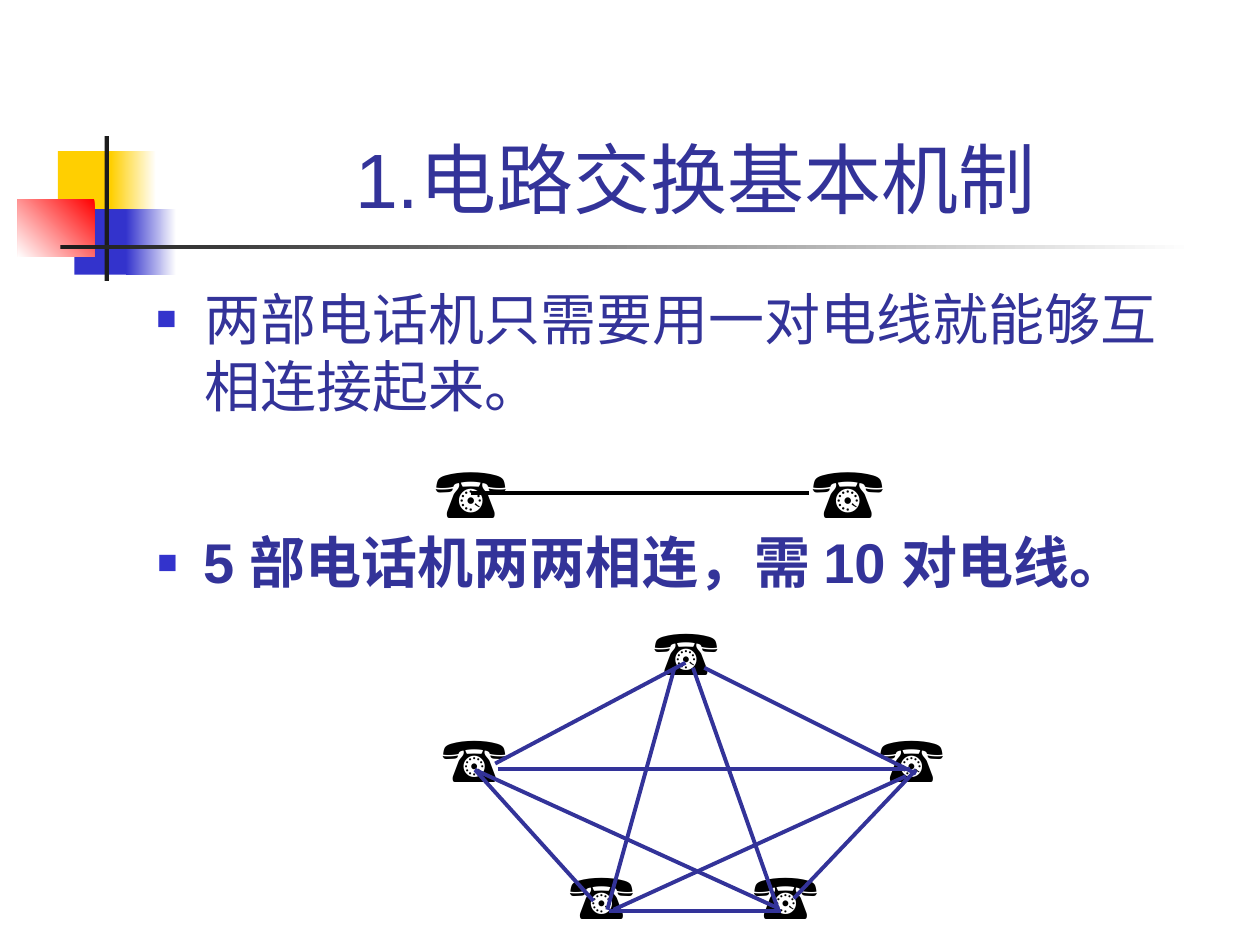
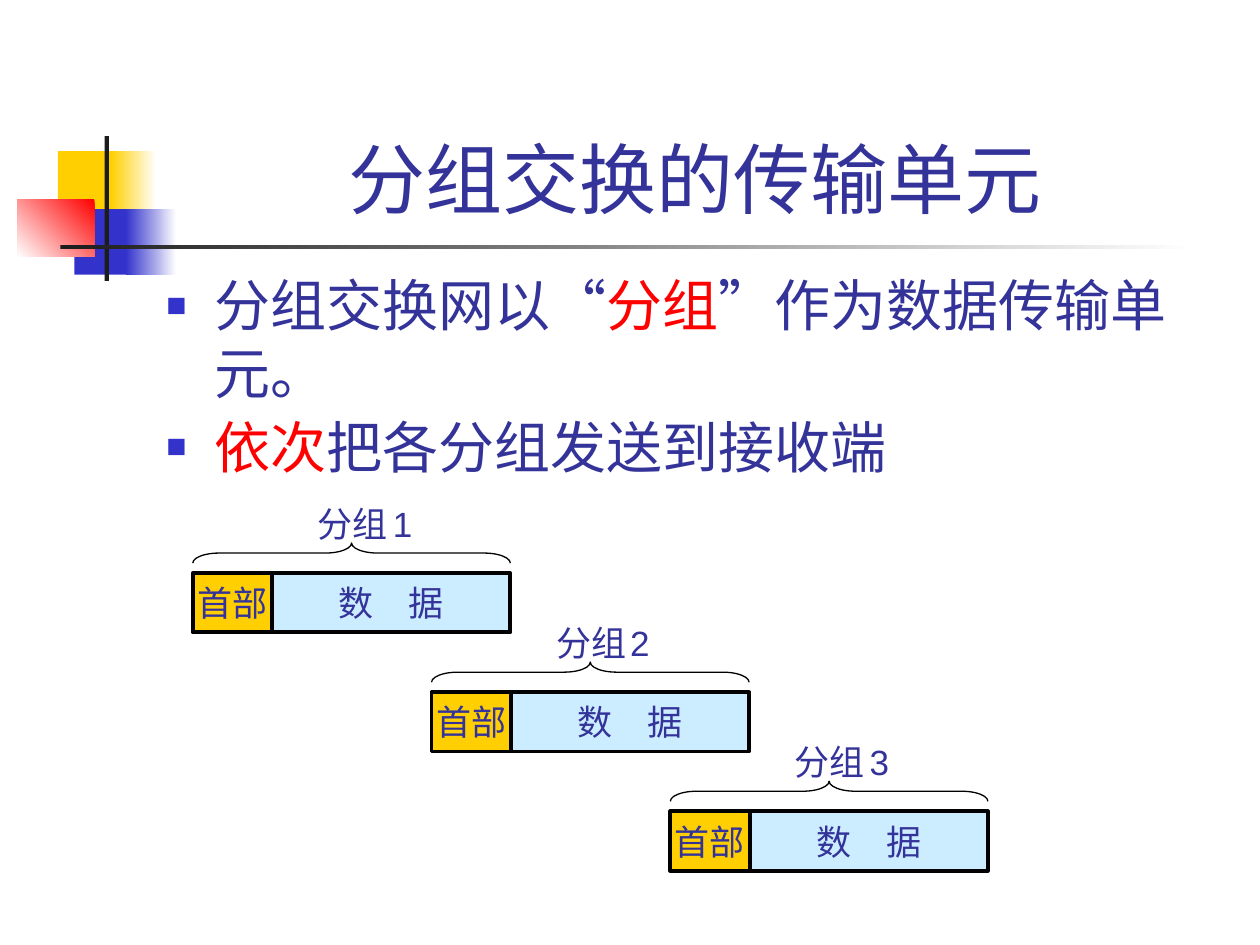
from dataclasses import dataclass

from lxml import etree
from pptx import Presentation, util as u
from pptx.dml.color import RGBColor
from pptx.enum import shapes, text
from pptx.oxml import ns

COLORS = {
    "ink": "333399",
    "accent": "FF0000",
    "blue": "3333CC",
    "yellow": "FFCF01",
    "pale": "CCECFF",
    "rule": "1C1C1C",
    "black": "000000",
    "white": "FFFFFF",
}
COLUMNS, ROWS = 100, 75
SLIDE_WIDTH, SLIDE_HEIGHT = u.Inches(10), u.Inches(7.5)
COLUMN, ROW = SLIDE_WIDTH / COLUMNS, SLIDE_HEIGHT / ROWS


@dataclass
class Box:
    left: float
    top: float
    width: float
    height: float

    def inner(self, left, top, width, height):
        return Box(self.left + left, self.top + top, width, height)

    def point(self, x, y):
        return round((self.left + x) * COLUMN), round((self.top + y) * ROW)

    def frame(self):
        return (*self.point(0, 0), round(self.width * COLUMN), round(self.height * ROW))


def rgb(color):
    return RGBColor.from_string(COLORS[color])


def add_span(para, words, size, color="ink", font="Arial", bold=False):
    span = para.add_run()
    span.text = words
    span.font.size = u.Pt(size)
    span.font.name = font
    span.font.bold = bold
    span.font.color.rgb = rgb(color)


def add_bullet(para, hanging, space_before):
    para.space_before = u.Pt(space_before)
    props = para._p.get_or_add_pPr()
    props.set("marL", str(u.Inches(hanging)))
    props.set("indent", str(-u.Inches(hanging)))
    bullet_color = etree.SubElement(props, ns.qn("a:buClr"))
    etree.SubElement(bullet_color, ns.qn("a:srgbClr"), val=COLORS["blue"])
    etree.SubElement(props, ns.qn("a:buSzPct"), val="60000")
    etree.SubElement(props, ns.qn("a:buFont"), typeface="Arial")
    etree.SubElement(props, ns.qn("a:buChar"), char="■")


def add_block(page, box, fill, fade_to=None, angle=0, outline=None):
    block = page.shapes.add_shape(shapes.MSO_SHAPE.RECTANGLE, *box.frame())
    block.shadow.inherit = False
    if fade_to:
        block.fill.gradient()
        block.fill.gradient_angle = angle
        for stop, color in zip(block.fill.gradient_stops, (fill, fade_to)):
            stop.color.rgb = rgb(color)
    else:
        block.fill.solid()
        block.fill.fore_color.rgb = rgb(fill)
    if outline:
        block.line.color.rgb = rgb(outline)
        block.line.width = u.Pt(2.25)
    else:
        block.line.fill.background()
    return block


def add_text_box(page, box):
    label = page.shapes.add_textbox(*box.frame())
    label.text_frame.word_wrap = True
    return label.text_frame.paragraphs[0]


def add_wire(page, box, start, end, color):
    wire = page.shapes.add_connector(
        shapes.MSO_CONNECTOR.STRAIGHT, *box.point(*start), *box.point(*end)
    )
    wire.line.color.rgb = rgb(color)
    wire.line.width = u.Pt(2.25)
    etree.SubElement(wire.element.spPr, ns.qn("a:effectLst"))


def move_emblem_to_master(page, master, box):
    blocks = [
        add_block(page, box.inner(3.2, 1.2, 4.8, 5.2), "yellow"),
        add_block(page, box.inner(7.4, 1.2, 3.6, 5.2), "yellow", "white"),
        add_block(page, box.inner(4.5, 5.8, 4.6, 5.2), "blue"),
        add_block(page, box.inner(8.6, 5.8, 4, 5.2), "blue", "white"),
        add_block(page, box.inner(0, 5, 6.1, 4.6), "accent", "white", 225),
        add_block(page, box.inner(6.9, 0, 0.35, 11.5), "rule"),
        add_block(page, box.inner(3.4, 8.65, 90, 0.35), "rule", "white"),
    ]
    for number, block in enumerate(blocks, 101):
        block.element.nvSpPr.cNvPr.id = number
        master.shapes.element.append(block.element)


def place(holder, box, anchor):
    holder.left, holder.top, holder.width, holder.height = box.frame()
    frame = holder.text_frame
    frame.auto_size = text.MSO_AUTO_SIZE.NONE
    frame.vertical_anchor = anchor
    return frame


def fill_title(page, box, words):
    para = place(page.shapes.title, box, text.MSO_ANCHOR.BOTTOM).paragraphs[0]
    para.alignment = text.PP_ALIGN.CENTER
    add_span(para, words, 44)


def fill_body(page, box, items, space_before):
    frame = place(page.placeholders[1], box, text.MSO_ANCHOR.TOP)
    for index, spans in enumerate(items):
        para = frame.add_paragraph() if index else frame.paragraphs[0]
        add_bullet(para, 0.38, space_before)
        for words, color in spans:
            add_span(para, words, 32, color)


def add_phones(page, box, spots, width, height, size):
    for left, top in spots:
        para = add_text_box(page, box.inner(left, top, width, height))
        add_span(para, "☎", size, "black")


def draw_phone_pair(page, box):
    add_phones(page, box, [(0, 0), (29.9, 0)], 9.2, 7.7, 40)
    add_wire(page, box, (3.8, 4), (30.6, 4), "black")


def draw_phone_mesh(page, box):
    spots = [(16.8, 0), (0, 8.5), (10.1, 19.4), (34.7, 8.5), (24.7, 19.4)]
    wires = [
        ((5.2, 12.5), (20.3, 4.5)),
        ((21.8, 4.9), (38.6, 13.3)),
        ((3.6, 13), (13, 23.4)),
        ((14.2, 24.2), (27.9, 24.2)),
        ((28.9, 23.2), (38.6, 13)),
        ((20.9, 4.9), (27.7, 24.2)),
        ((19.4, 5), (14.1, 24.1)),
        ((5.4, 12.9), (38.1, 12.9)),
        ((3.6, 13), (27.7, 24)),
        ((14.6, 24.1), (37.8, 13.5)),
    ]
    add_phones(page, box, spots, 8.5, 7, 36)
    for start, end in wires:
        add_wire(page, box, start, end, "ink")


def add_field(page, box, words, fill):
    field = add_block(page, box, fill, outline="black")
    frame = field.text_frame
    frame.word_wrap = False
    frame.vertical_anchor = text.MSO_ANCHOR.MIDDLE
    para = frame.paragraphs[0]
    para.alignment = text.PP_ALIGN.CENTER
    add_span(para, words, 20, font="Lato")


def add_brace(page, box):
    shift = (box.width - box.height) / 2
    upright = box.inner(shift, -shift, box.height, box.width)
    brace = page.shapes.add_shape(shapes.MSO_SHAPE.LEFT_BRACE, *upright.frame())
    brace.rotation = 90
    brace.adjustments[0] = 1.31
    brace.shadow.inherit = False
    brace.fill.background()
    brace.line.color.rgb = rgb("black")
    brace.line.width = u.Pt(0.75)


def draw_packet(page, box, number, gap_size):
    header_width = box.width / 4
    add_field(page, box.inner(header_width, 6.1, box.width - header_width, 4.7), "数　据", "pale")
    add_field(page, box.inner(0, 6.1, header_width, 4.7), "首部", "yellow")
    add_brace(page, box.inner(0, 3.7, box.width, 1.6))
    para = add_text_box(page, box.inner(8.9, 0, 10, 4.4))
    add_span(para, "分组", 20, font="Lato")
    add_span(para, " ", gap_size)
    add_span(para, str(number), 20)


def start_page(deck, title):
    page = deck.slides.add_slide(deck.slide_layouts[1])
    fill_title(page, Box(12.6, 2.3, 85.2, 16), title)
    return page


def build_circuit_page(deck):
    page = start_page(deck, "1.电路交换基本机制")
    sentence = "两部电话机只需要用一对电线就能够互相连接起来。"
    fill_body(page, Box(11.4, 22.1, 85, 14.7), [[(sentence, "ink")]], 8)
    draw_phone_pair(page, Box(33.6, 35.1, 39.1, 7.7))
    para = add_text_box(page, Box(11.5, 41.4, 81.7, 6.4))
    add_bullet(para, 0.24, 8)
    add_span(para, " 5 部电话机两两相连，需 10 对电线。", 32, bold=True)
    draw_phone_mesh(page, Box(34.1, 48.1, 43.2, 26.4))
    return page


def build_packet_page(deck):
    page = start_page(deck, "分组交换的传输单元")
    items = [
        [("分组交换网以“", "ink"), ("分组", "accent"), ("”作为数据传输单元。", "ink")],
        [("依次", "accent"), ("把各分组发送到接收端", "ink")],
    ]
    fill_body(page, Box(12.2, 21, 85, 47.3), items, 4)
    for index, gap_size in enumerate((14, 10, 12)):
        box = Box(15.3 + 18.95 * index, 39.4 + 9.45 * index, 25.2, 10.8)
        draw_packet(page, box, index + 1, gap_size)


def main():
    deck = Presentation()
    deck.slide_width, deck.slide_height = SLIDE_WIDTH, SLIDE_HEIGHT
    page = build_circuit_page(deck)
    move_emblem_to_master(page, deck.slide_master, Box(1.4, 10.8, 93.4, 11.5))
    build_packet_page(deck)
    deck.save("out.pptx")


if __name__ == "__main__":
    main()
